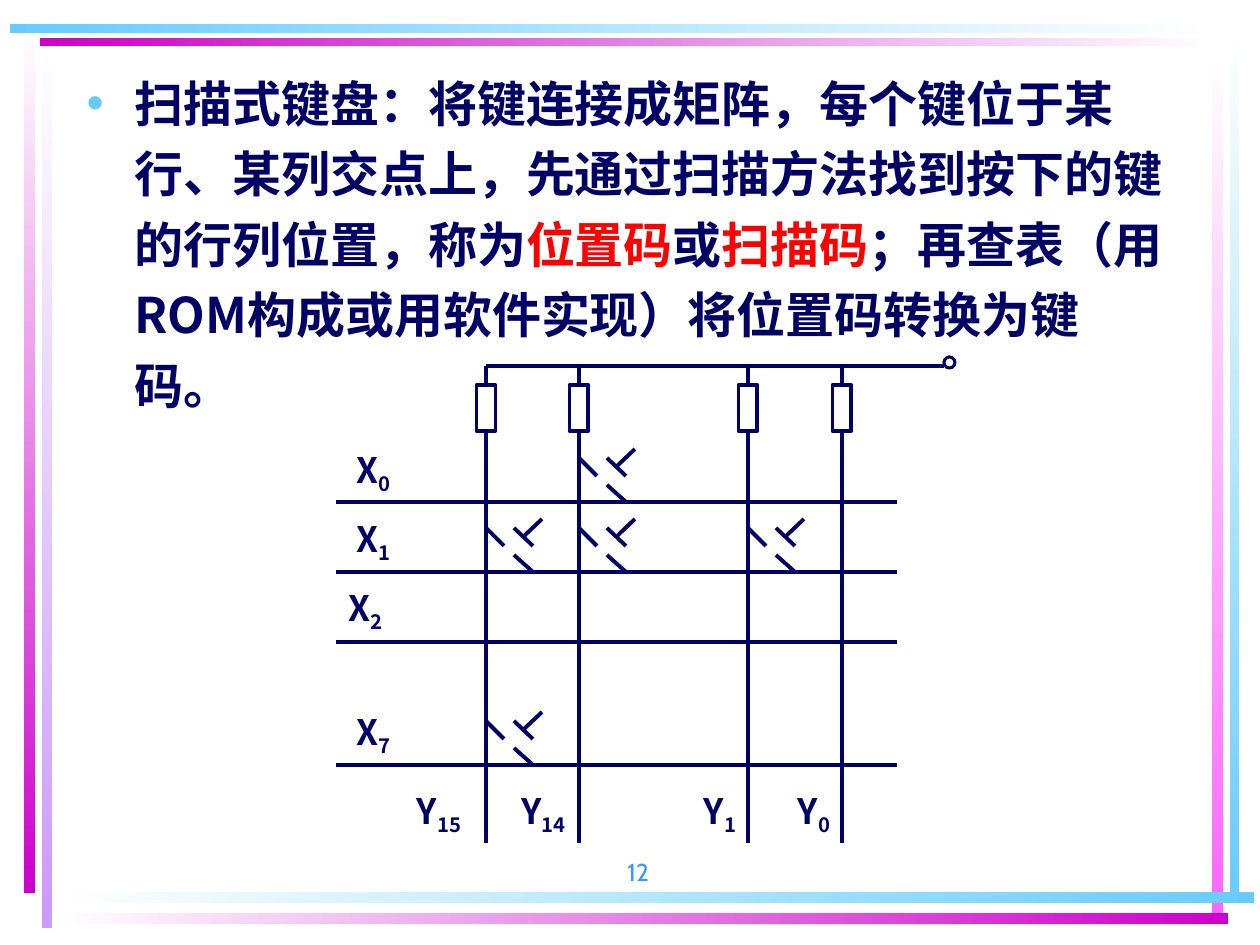
from dataclasses import dataclass

from lxml.etree import SubElement
from pptx import Presentation
from pptx.dml.color import RGBColor
from pptx.enum.shapes import MSO_CONNECTOR as Link, MSO_SHAPE as Shape
from pptx.enum.text import MSO_ANCHOR as Anchor, MSO_AUTO_SIZE as AutoSize, PP_ALIGN as Align
from pptx.oxml.ns import qn
from pptx.util import Pt

# Content
BODY = [
    ("扫描式键盘：将键连接成矩阵，每个键位于某行、某列交点上，先通过扫描方法找到按下的键的行列位置，称为", "ink"),
    ("位置码", "accent"),
    ("或", "ink"),
    ("扫描码", "accent"),
    ("；再查表（用ROM构成或用软件实现）将位置码转换为键码。", "ink"),
]
PAGE_NUMBER = "12"
ROWS = {"0": (502, 355, 450), "1": (572, 355, 519),  # line y, label x, label y
        "2": (642, 347, 588), "7": (765, 355, 712)}
COLUMNS = {"15": (486, 405, 68), "14": (579, 510, 67),  # line x, label x, label width
           "1": (748, 701, 38), "0": (842, 795, 38)}
KEYS = [("0", "14"), ("1", "15"), ("1", "14"), ("1", "1"), ("7", "15")]  # row, column

# Strokes of one key, measured from the crossing of its row and column
KEY_STROKES = [(0, -44, 18, -26), (28, -17, 47, 0), (28, -44, 47, -26), (37, -35, 56, -53)]

# Frame bars: left, top, width, height, first colour, last colour
FRAME = [
    (42, 35, 10, 893, "white", "lilac"),
    (24, 31, 11, 862, "white", "magenta"),
    (1230, 30, 9, 873, "white", "sky"),
    (1212, 53, 11, 860, "white", "pink"),
    (57, 892, 1197, 11, "white", "sky"),
    (57, 913, 1171, 11, "white", "magenta"),
    (40, 38, 1174, 8, "magenta", "white"),
    (10, 24, 1204, 9, "sky", "white"),
]


@dataclass(frozen=True)
class Theme:
    ink: str = "000066"
    accent: str = "FF0000"
    number: str = "3399FF"
    white: str = "FFFFFF"
    sky: str = "66CCFF"
    magenta: str = "CC00CC"
    lilac: str = "CC99FF"
    pink: str = "FF66FF"
    text_font: str = "Noto Sans CJK SC"
    number_font: str = "Cabin"
    body_size: int = 28
    label_size: int = 20
    number_size: int = 14
    stroke: float = 2.25
    thin_stroke: float = 1.75

    def colour(self, name):
        return RGBColor.from_string(getattr(self, name))


THEME = Theme()


def px(length):
    return round(length * 914400 / 126)


def add_span(para, text, size, font=THEME.text_font, colour="ink", bold=True, baseline=0):
    span = para.add_run()
    span.text = text
    span.font.size, span.font.bold, span.font.name = Pt(size), bold, font
    span.font.color.rgb = THEME.colour(colour)
    props = span.font._element
    SubElement(props, qn("a:ea")).set("typeface", font)
    if baseline:
        props.set("baseline", str(baseline * 1000))


def add_text(page, area, spans, align=Align.CENTER, anchor=Anchor.MIDDLE,
             before=0, inset=(0, 0), **style):
    """Spans are (text, baseline) pairs sharing one style."""
    box = page.shapes.add_textbox(*map(px, area))
    frame = box.text_frame
    frame.word_wrap = True
    frame.vertical_anchor = anchor
    frame.margin_left = frame.margin_right = px(inset[0])
    frame.margin_top = frame.margin_bottom = px(inset[1])
    para = frame.paragraphs[0]
    para.alignment, para.space_before = align, Pt(before)
    for text, baseline in spans:
        add_span(para, text, baseline=baseline, **style)


def add_label(page, area, letter, index):
    add_text(page, area, [(letter, 0), (index, -25)], before=12.5, size=THEME.label_size)


def add_line(page, x1, y1, x2, y2):
    line = page.shapes.add_connector(Link.STRAIGHT, *map(px, (x1, y1, x2, y2)))
    line.line.color.rgb = THEME.colour("ink")
    line.line.width = Pt(THEME.stroke)
    SubElement(line._element.spPr, qn("a:effectLst"))
    return line


def add_outline(page, kind, area, stroke):
    shape = page.shapes.add_shape(kind, *map(px, area))
    shape.shadow.inherit = False
    shape.fill.background()
    shape.line.color.rgb = THEME.colour("ink")
    shape.line.width = Pt(stroke)
    return shape


def add_frame(page):
    for *area, first, last in FRAME:
        bar = page.shapes.add_shape(Shape.RECTANGLE, *map(px, area))
        bar.shadow.inherit = False
        bar.line.fill.background()
        bar.fill.gradient()
        bar.fill.gradient_angle = 270 if area[3] > area[2] else 0
        for stop, name in zip(bar.fill.gradient_stops, (first, last)):
            stop.color.rgb = THEME.colour(name)


def fill_body(box):
    box.left, box.top, box.width, box.height = map(px, (74, 55, 1111, 795))
    frame = box.text_frame
    frame.auto_size = AutoSize.NONE
    para = frame.paragraphs[0]
    para.line_spacing = 1.2
    for text, colour in BODY:
        add_span(para, text, THEME.body_size, colour=colour)
    props = para._p.get_or_add_pPr()
    props.set("marL", str(px(48)))
    props.set("indent", str(-px(48)))
    props.set("hangingPunct", "0")
    bullet_colour = SubElement(props, qn("a:buClr"))
    SubElement(bullet_colour, qn("a:srgbClr")).set("val", THEME.sky)
    SubElement(props, qn("a:buChar")).set("char", "•")


def add_matrix(page):
    bus_y, resistor_y, resistor_w, resistor_h, bottom = 366, 385, 19, 46, 843

    # Supply bus and its terminal
    add_line(page, COLUMNS["15"][0], bus_y, 944, bus_y)
    add_outline(page, Shape.FLOWCHART_CONNECTOR, (944, 357, 11, 11), THEME.thin_stroke)

    # Columns, each fed through a resistor
    for index, (x, label_x, label_w) in COLUMNS.items():
        area = (x - resistor_w / 2, resistor_y, resistor_w, resistor_h)
        resistor = add_outline(page, Shape.RECTANGLE, area, THEME.stroke)
        add_line(page, x, bus_y, x, resistor_y).end_connect(resistor, 0)
        add_line(page, x, resistor_y + resistor_h, x, bottom).begin_connect(resistor, 2)
        add_label(page, (label_x, 791, label_w, 44), "Y", index)

    # Rows
    for index, (y, label_x, label_y) in ROWS.items():
        add_line(page, 336, y, 897, y)
        add_label(page, (label_x, label_y, 38, 44), "X", index)

    # Keys at the crossings
    for row, column in KEYS:
        x, y = COLUMNS[column][0], ROWS[row][0]
        for x1, y1, x2, y2 in KEY_STROKES:
            add_line(page, x + x1, y + y1, x + x2, y + y2)


def main():
    deck = Presentation()
    deck.slide_width, deck.slide_height = px(1260), px(945)
    page = deck.slides.add_slide(deck.slide_layouts[1])
    title = page.shapes.title._element
    title.getparent().remove(title)
    add_frame(page)
    fill_body(page.placeholders[1])
    add_matrix(page)
    add_text(page, (400, 829, 262, 63), [(PAGE_NUMBER, 0)], align=Align.RIGHT,
             anchor=Anchor.BOTTOM, inset=(13, 6), size=THEME.number_size,
             font=THEME.number_font, colour="number", bold=False)
    deck.save("out.pptx")


if __name__ == "__main__":
    main()
